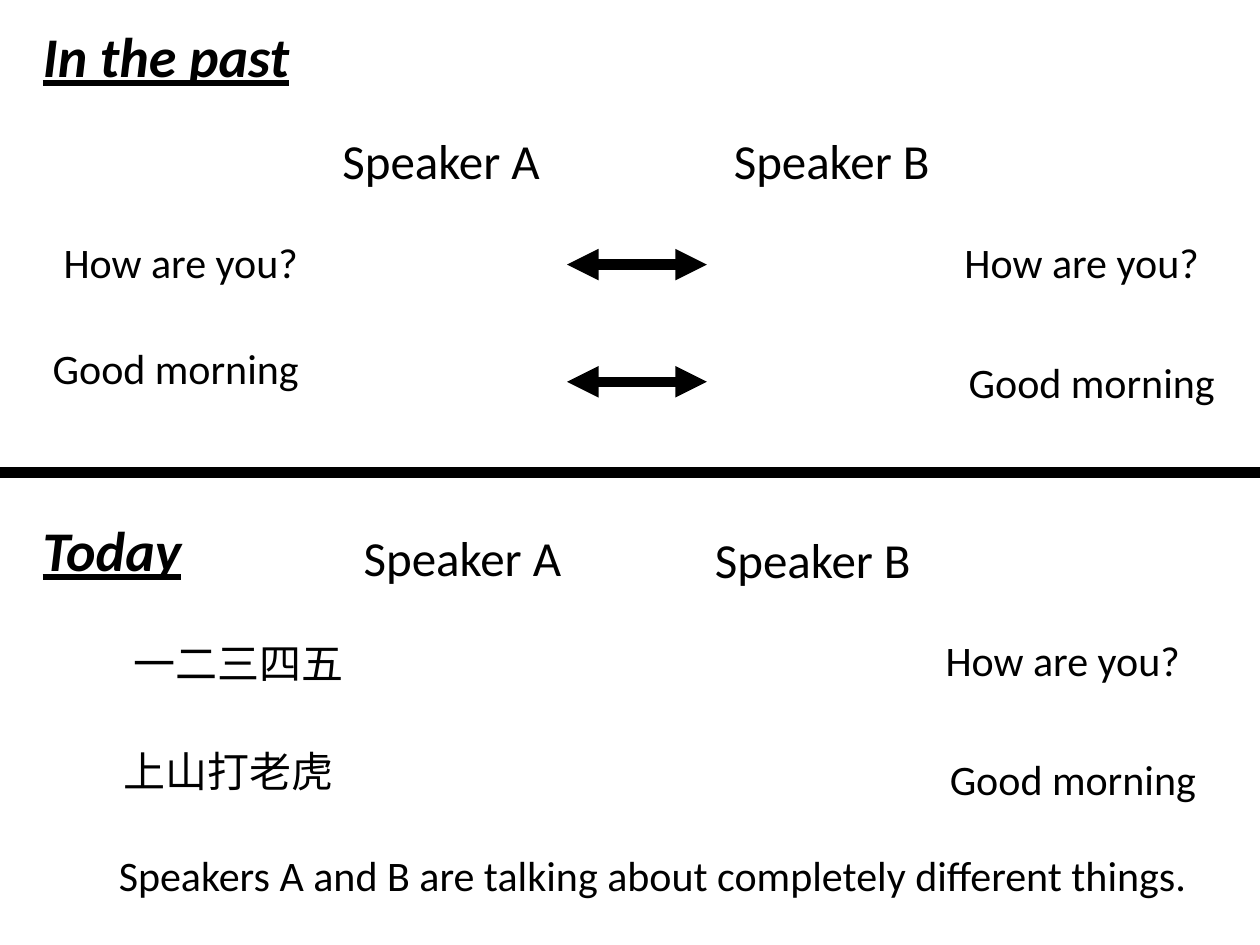
from lxml.etree import SubElement
from pptx import Presentation
from pptx.dml.color import RGBColor
from pptx.enum.shapes import MSO_CONNECTOR
from pptx.enum.text import MSO_ANCHOR, MSO_AUTO_SIZE, PP_ALIGN
from pptx.oxml.ns import qn
from pptx.util import Inches, Pt

INK = "000000"

deck = Presentation()
deck.slide_width, deck.slide_height = Inches(10), Inches(7.5)
slide = deck.slides.add_slide(deck.slide_layouts[5])


def write(text, left, top, width=2.31, height=0.5, size=24, heading=False, box=None):
    box = box or slide.shapes.add_textbox(0, 0, 0, 0)
    box.left, box.top = Inches(left), Inches(top)
    box.width, box.height = Inches(width), Inches(height)
    frame = box.text_frame
    frame.word_wrap = True
    frame.auto_size = MSO_AUTO_SIZE.SHAPE_TO_FIT_TEXT
    frame.vertical_anchor = MSO_ANCHOR.TOP
    line = frame.paragraphs[0]
    line.alignment = PP_ALIGN.LEFT if heading else PP_ALIGN.CENTER
    run = line.add_run()
    run.text = text
    run.font.name, run.font.size = "Calibri", Pt(size)
    run.font.color.rgb = RGBColor.from_string(INK)
    if heading:
        run.font.bold = run.font.italic = run.font.underline = True


def rule(left, right, y, arrows=False):
    stroke = slide.shapes.add_connector(
        MSO_CONNECTOR.STRAIGHT, Inches(left), Inches(y), Inches(right), Inches(y))
    stroke.line.color.rgb = RGBColor.from_string(INK)
    stroke.line.width = Pt(6)
    if arrows:
        outline = stroke.line._get_or_add_ln()
        for end in ("a:headEnd", "a:tailEnd"):
            SubElement(outline, qn(end), type="triangle")
    SubElement(stroke._element.spPr, qn("a:effectLst"))


for heading, top, box in [("In the past", 0.12, slide.shapes.title), ("Today", 4.04, None)]:
    write(heading, 0.24, top, width=2.5, height=0.64, size=32, heading=True, box=box)

for speaker, left, top in [
    ("Speaker A", 2.34, 0.99),
    ("Speaker B", 5.44, 0.99),
    ("Speaker A", 2.51, 4.14),
    ("Speaker B", 5.29, 4.15),
]:
    write(speaker, left, top, width=2.32, height=0.57, size=28)

for phrase, left, top in [
    ("How are you?", 0.28, 1.83),
    ("How are you?", 7.43, 1.83),
    ("Good morning", 0.24, 2.67),
    ("Good morning", 7.51, 2.78),
    ("一二三四五", 0.74, 5.01),
    ("How are you?", 7.28, 4.99),
    ("上山打老虎", 0.66, 5.87),
    ("Good morning", 7.36, 5.93),
]:
    write(phrase, left, top)

for exchange_y in (2.1, 3.03):
    rule(4.5, 5.61, exchange_y, arrows=True)
rule(0, 10, 3.75)

write("Speakers A and B are talking about completely different things.", 0.77, 6.69, width=8.82)

deck.save("out.pptx")
